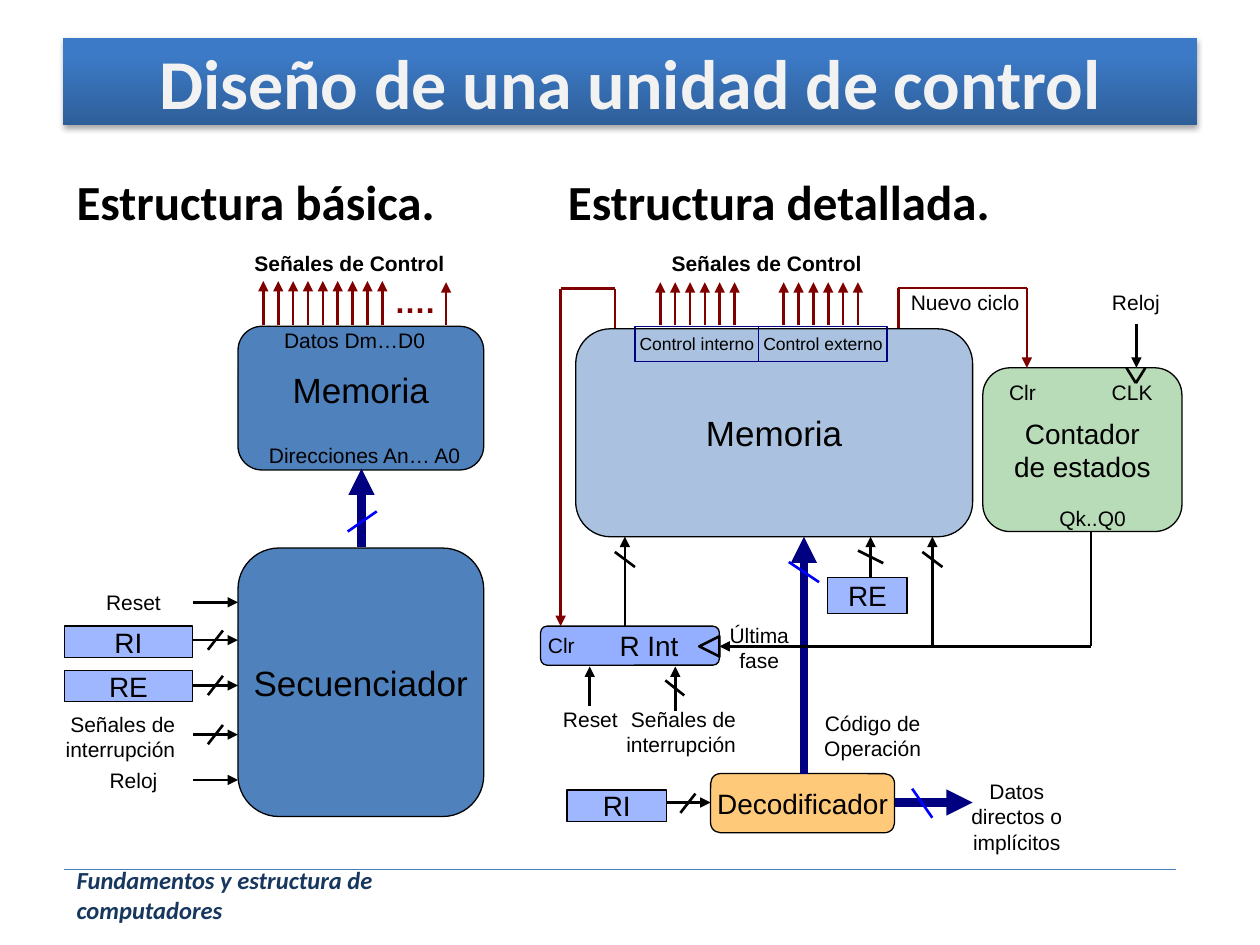
from lxml.etree import SubElement
from pptx import Presentation
from pptx.dml.color import RGBColor
from pptx.enum.shapes import MSO_CONNECTOR, MSO_SHAPE
from pptx.enum.text import MSO_ANCHOR, PP_ALIGN
from pptx.oxml.ns import qn
from pptx.util import Pt

BLACK = RGBColor(0x00, 0x00, 0x00)
OFF_WHITE = RGBColor(0xF2, 0xF2, 0xF2)
TITLE_TOP = RGBColor(0x3C, 0x7A, 0xC7)
TITLE_BOTTOM = RGBColor(0x2E, 0x5F, 0x99)
FOOTER_TEXT = RGBColor(0x17, 0x37, 0x5E)
FOOTER_RULE = RGBColor(0x4B, 0x7E, 0xBC)
STEEL = RGBColor(0x4F, 0x81, 0xBD)
REGISTER_BLUE = RGBColor(0x33, 0x66, 0xFF)
ORANGE = RGBColor(0xFF, 0x99, 0x00)
GREEN = RGBColor(0x00, 0x80, 0x00)
MAROON = RGBColor(0x80, 0x00, 0x00)
NAVY = RGBColor(0x00, 0x00, 0x80)
BLUE = RGBColor(0x00, 0x00, 0xFF)

LEFT, CENTER, RIGHT = PP_ALIGN.LEFT, PP_ALIGN.CENTER, PP_ALIGN.RIGHT
SIGNAL_GAP = 8.5


def write_text(shape, text, size=12, font="Arial", color=BLACK, bold=False,
               italic=False, align=CENTER, anchor=MSO_ANCHOR.TOP, wrap=True,
               insets=(7.2, 3.6, 7.2, 3.6)):
    """Put formatted text into a shape."""
    frame = shape.text_frame
    frame.text = text
    frame.word_wrap = wrap
    frame.vertical_anchor = anchor
    (frame.margin_left, frame.margin_top,
     frame.margin_right, frame.margin_bottom) = map(Pt, insets)
    for paragraph in frame.paragraphs:
        paragraph.alignment = align
        paragraph.font.size = Pt(size)
        paragraph.font.name = font
        paragraph.font.bold = bold
        paragraph.font.italic = italic
        paragraph.font.color.rgb = color


def add_label(slide, text, x, y, width, height=21.6, **text_format):
    """Add a free-standing label."""
    label = slide.shapes.add_textbox(Pt(x), Pt(y), Pt(width), Pt(height))
    write_text(label, text, **text_format)


def add_block(slide, x, y, width, height, text="", fill=None, opacity=100,
              kind=MSO_SHAPE.RECTANGLE, outline=BLACK, weight=0.75,
              anchor=MSO_ANCHOR.MIDDLE, wrap=False, **text_format):
    """Add an outlined block with an optional fill and caption."""
    block = slide.shapes.add_shape(kind, Pt(x), Pt(y), Pt(width), Pt(height))
    block.shadow.inherit = False
    if fill is None:
        block.fill.background()
    else:
        block.fill.solid()
        block.fill.fore_color.rgb = fill
        if opacity < 100:
            tint = block.element.spPr.find(".//" + qn("a:srgbClr"))
            SubElement(tint, qn("a:alpha"), val=str(opacity * 1000))
    block.line.color.rgb = outline
    block.line.width = Pt(weight)
    if text:
        write_text(block, text, anchor=anchor, wrap=wrap, **text_format)
    return block


def add_unit(slide, *bounds, **block_format):
    """Add a rounded block for a functional unit."""
    add_block(slide, *bounds, kind=MSO_SHAPE.ROUNDED_RECTANGLE, **block_format)


def add_register(slide, text, *bounds):
    """Add a register box."""
    add_block(slide, *bounds, text=text, fill=REGISTER_BLUE, opacity=47, size=16)


def add_wire(slide, x1, y1, x2, y2, color=BLACK, weight=1.5, arrow=True):
    """Add a straight wire, with an arrowhead at its end by default."""
    wire = slide.shapes.add_connector(
        MSO_CONNECTOR.STRAIGHT, Pt(x1), Pt(y1), Pt(x2), Pt(y2))
    wire.line.color.rgb = color
    wire.line.width = Pt(weight)
    if arrow:
        SubElement(wire.line._get_or_add_ln(), qn("a:tailEnd"), type="triangle")
    SubElement(wire.element.spPr, qn("a:effectLst"))


def add_slash(slide, x, y, width, rise, color=BLACK):
    """Cross a bus at the given centre with a slash."""
    add_wire(slide, x - width / 2, y - rise / 2, x + width / 2, y + rise / 2,
             color, arrow=False)


def add_signals(slide, first_x, count, top):
    """Add a row of evenly spaced control signals."""
    for index in range(count):
        x = first_x + index * SIGNAL_GAP
        add_wire(slide, x, 185.8, x, top, MAROON)


def add_route(slide, points, color):
    """Join points with wires and an arrowhead on the last one."""
    legs = list(zip(points, points[1:]))
    for start, end in legs:
        add_wire(slide, *start, *end, color, arrow=end == points[-1])


def add_title(slide):
    """Format the title banner."""
    title = slide.shapes.title
    title.left, title.top, title.width, title.height = map(Pt, (36, 21.6, 648, 49.7))
    title.fill.gradient()
    title.fill.gradient_angle = 270
    top, bottom = title.fill.gradient_stops
    top.position = 0.2
    top.color.rgb, bottom.color.rgb = TITLE_TOP, TITLE_BOTTOM
    effects = SubElement(title.element.spPr, qn("a:effectLst"))
    shadow = SubElement(effects, qn("a:outerShdw"), blurRad="40000", dist="23000",
                        dir="5400000", rotWithShape="0")
    tint = SubElement(shadow, qn("a:srgbClr"), val="000000")
    SubElement(tint, qn("a:alpha"), val="35000")
    write_text(title, "Diseño de una unidad de control", size=40, font="Calibri",
               color=OFF_WHITE, bold=True, anchor=MSO_ANCHOR.MIDDLE)


def add_basic_structure(slide):
    """Draw the memory and sequencer diagram."""
    add_label(slide, "Señales de Control", 136, 139.7, 127.5, bold=True)
    add_unit(slide, 136, 313.2, 140.4, 153.4, text="Secuenciador", fill=STEEL, size=20)
    add_unit(slide, 136, 186.5, 140.4, 82.1, text="Memoria", fill=STEEL, size=20,
             insets=(7.2, 0, 7.2, 10))
    add_label(slide, "Datos Dm…D0", 127.4, 183.6, 150.5)
    add_label(slide, "Direcciones An… A0", 141.8, 249.1, 133.2)
    add_register(slide, "RI", 36.7, 357.8, 73.4, 18)
    add_register(slide, "RE", 36.7, 383, 73.4, 18)
    add_label(slide, "Reset", 36.7, 333.4, 79.2)
    add_label(slide, "Señales de interrupción", 28.1, 403.2, 79.2, 36, align=RIGHT)
    add_label(slide, "Reloj", 36.7, 434.9, 79.2)
    for y, is_bus in ((344.2, False), (365.8, True), (391.7, True),
                      (419.8, True), (445.7, False)):
        add_wire(slide, 110.2, y, 136, y)
        if is_bus:
            add_slash(slide, 123.1, y, 8.6, -11)
    add_wire(slide, 206.6, 312.5, 206.6, 267.8, NAVY, 5)
    add_slash(slide, 207, 298, 16.6, -11.5, BLUE)
    add_signals(slide, 150.5, 9, 160.6)
    add_signals(slide, 254.9, 1, 161.3)
    add_label(slide, "….", 218.2, 157.7, 54, 28.8, size=18, color=MAROON,
              bold=True, align=LEFT)


def add_detailed_units(slide):
    """Draw the units of the detailed diagram."""
    add_register(slide, "RI", 324, 451.4, 56.9, 18)
    add_register(slide, "RE", 473, 329.8, 45.4, 20.9)
    add_unit(slide, 329, 187.9, 226.8, 118.8, text="Memoria", fill=STEEL,
             opacity=48, size=20)
    add_unit(slide, 406.1, 442.1, 105.1, 33.8, text="Decodificador", fill=ORANGE,
             opacity=52, size=16)
    add_unit(slide, 561.6, 210.2, 113.8, 93.6, text="Contador\nde estados",
             fill=GREEN, opacity=28, size=16, insets=(7.2, 0, 7.2, 0))
    add_unit(slide, 308.9, 357.8, 102.2, 22.3, text="R Int", fill=REGISTER_BLUE,
             opacity=52, size=16, insets=(29, 3.6, 7.2, 3.6))
    for text, x, width in (("Control interno", 362.9, 70.6),
                           ("Control externo", 433.5, 73.4)):
        add_block(slide, x, 186.5, width, 20.2, text=text, outline=NAVY, size=10,
                  anchor=MSO_ANCHOR.TOP, wrap=True, insets=(0, 3.6, 0, 3.6))
    clock_mark = add_block(slide, 399.6, 363.6, 11.5, 11.5, weight=1.5,
                           kind=MSO_SHAPE.ISOSCELES_TRIANGLE)
    clock_mark.rotation = 270


def add_detailed_wires(slide):
    """Draw the wires and buses of the detailed diagram."""
    add_signals(slide, 377.3, 6, 161.3)
    add_signals(slide, 447.8, 6, 161.3)
    for wire in ((380.9, 458.6, 406.1, 458.6), (497.5, 329.8, 497.5, 306.7),
                 (385.9, 406.1, 385.9, 380.9), (649.4, 185, 649.4, 210.2),
                 (532.8, 369.4, 532.8, 306.7), (337, 403.2, 337, 380.9),
                 (357.1, 357.8, 357.1, 306.7)):
        add_wire(slide, *wire)
    add_wire(slide, 459.4, 442.1, 459.4, 306.7, NAVY, 5)
    add_wire(slide, 511.2, 458.6, 555.8, 458.6, NAVY, 5)
    for slash in ((393.1, 459, 8.6, -11), (497.5, 318.2, 14.4, 7.2),
                  (385.6, 393.1, 10.8, 8.6), (532.8, 319.7, 11.5, 8.6),
                  (357.1, 319.7, 11.5, 8.6), (459.4, 326.9, 17.3, 11.5, BLUE),
                  (527, 459, 11.5, 16.6, BLUE)):
        add_slash(slide, *slash)
    add_route(slide, ((623.5, 303.8), (623.5, 369.4), (411.1, 369.4)), BLACK)
    add_route(slide, ((513.4, 187.2), (513.4, 164.5), (586.8, 164.5),
                      (586.8, 210.2)), MAROON)
    add_route(slide, ((351.4, 187.2), (351.4, 164.9), (320.4, 164.9),
                      (320.4, 357.8)), MAROON)
    for outer_x in (643.7, 654.5):
        add_wire(slide, outer_x, 210.2, 649.1, 218.9, arrow=False)


def add_detailed_labels(slide):
    """Write the labels of the detailed diagram."""
    add_label(slide, "Señales de Control", 374.4, 139.7, 127.5, bold=True)
    add_label(slide, "Nuevo ciclo", 496.1, 162, 110.9)
    add_label(slide, "Reloj", 626.4, 162, 45.4)
    add_label(slide, "Clr", 569.5, 213.1, 36.7, align=LEFT)
    add_label(slide, "CLK", 628.2, 213.1, 43.2, align=LEFT)
    add_label(slide, "Qk..Q0", 598.3, 285.1, 59.8, align=LEFT)
    add_label(slide, "Clr", 306, 357.8, 36.7, align=LEFT)
    add_label(slide, "Última\nfase", 405.4, 352.1, 56.9, 36)
    add_label(slide, "Reset", 311.8, 400.3, 51.1)
    add_label(slide, "Señales de interrupción", 348.5, 400.3, 79.2, 36, align=RIGHT)
    add_label(slide, "Código de\nOperación", 459.4, 402.5, 78.5, 36)
    add_label(slide, "Datos directos o implícitos", 535.7, 441.4, 90.7, 50.4)


def main():
    """Build the control unit slide."""
    deck = Presentation()
    deck.slide_width, deck.slide_height = Pt(720), Pt(540)
    slide = deck.slides.add_slide(deck.slide_layouts[5])
    add_title(slide)
    for heading, x in (("Estructura básica.", 36.7), ("Estructura detallada.", 317.5)):
        add_label(slide, heading, x, 94.3, 263.5, 45.4, size=28, font="Calibri",
                  bold=True, align=LEFT)
    add_wire(slide, 36.7, 496.8, 671.8, 496.8, FOOTER_RULE, 0.75, arrow=False)
    add_label(slide, "Fundamentos y estructura de computadores", 36.7, 491, 269.3, 41,
              size=14, font="Calibri", color=FOOTER_TEXT, bold=True, italic=True,
              align=LEFT)
    add_basic_structure(slide)
    add_detailed_units(slide)
    add_detailed_wires(slide)
    add_detailed_labels(slide)
    deck.save("out.pptx")


if __name__ == "__main__":
    main()
